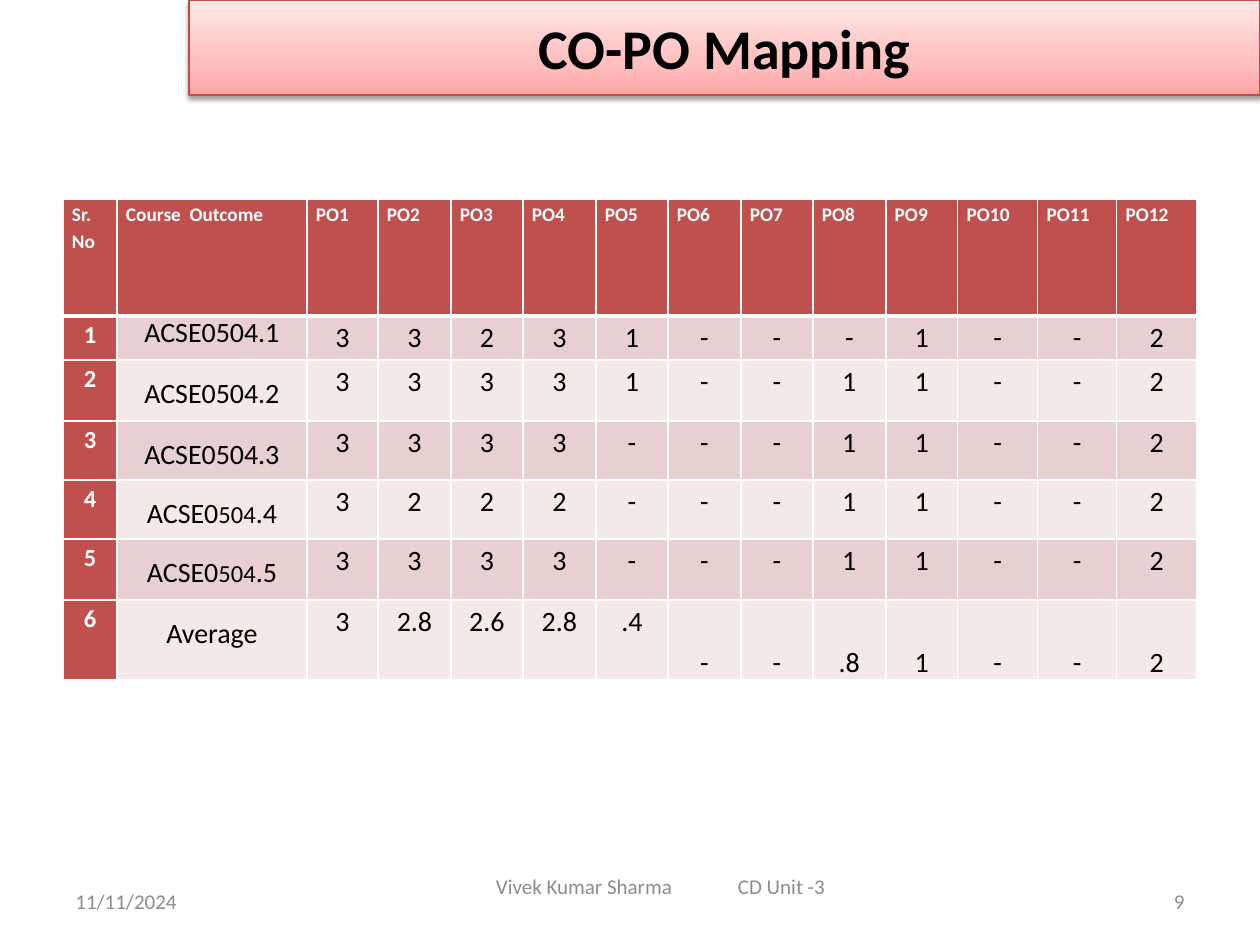
import itertools

import pptx
import pptx.dml.color
import pptx.enum.shapes
import pptx.enum.text
import pptx.oxml
import pptx.oxml.ns
import pptx.util

EMU_PER_PX = 914400 / 126
COLORS = {
    "ink": "000000", "white": "FFFFFF", "footer": "8C8C8C", "accent": "C0504D",
    "title_line": "BF4C48", "band_dark": "E8D0D0", "band_light": "F4E9E9",
}
TITLE_STOPS = [(0, "FFA6A5"), (35, "FFC0BF"), (100, "FFE7E7")]
ALIGN = pptx.enum.text.PP_ALIGN
ANCHOR = pptx.enum.text.MSO_ANCHOR

COLUMN_WIDTHS = [54, 190, 71] + [73, 72] * 4 + [80, 79, 80]
ROW_HEIGHTS = [117, 44, 61, 59, 59, 61, 80]
HEADERS = ["Sr. No", "Course  Outcome"] + [f"PO{number}" for number in range(1, 13)]
# Outcome as (text, size) runs, its line spacing, and the values for PO1 to PO12
OUTCOMES = [
    ([("ACSE0504.1", 16)], 1.0, "3 3 2 3 1 - - - 1 - - 2"),
    ([("ACSE0504.2", 16)], 1.5, "3 3 3 3 1 - - 1 1 - - 2"),
    ([("ACSE0504.3", 16)], 1.5, "3 3 3 3 - - - 1 1 - - 2"),
    ([("ACSE0", 16), ("504", 14), (".4", 16)], 1.5, "3 2 2 2 - - - 1 1 - - 2"),
    ([("ACSE0", 16), ("504", 14), (".5", 16)], 1.5, "3 3 3 3 - - - 1 1 - - 2"),
    ([("Average", 16)], 1.5, "3 2.8 2.6 2.8 .4 - - .8 1 - - 2"),
]


def px(length):
    return pptx.util.Emu(round(length * EMU_PER_PX))


def rgb(name):
    return pptx.dml.color.RGBColor.from_string(COLORS[name])


def element(xml):
    """Parse XML whose root tag holds the placeholder NS."""
    return pptx.oxml.parse_xml(xml.replace("NS", pptx.oxml.ns.nsdecls("a"), 1))


class SlideBuilder:
    font = "Calibri"
    cell_inset = 9

    def __init__(self, slide):
        self.slide = slide

    def add_runs(self, paragraph, runs, color, bold=False, align=ALIGN.LEFT, spacing=None):
        paragraph.alignment = align
        if spacing:
            paragraph.line_spacing = spacing
        for text, size in runs:
            run = paragraph.add_run()
            run.text = text
            run.font.name = self.font
            run.font.size = pptx.util.Pt(size)
            run.font.bold = bold
            run.font.color.rgb = rgb(color)

    def footer(self, left, top, width, text, align=ALIGN.LEFT, inset=None, tab=None):
        box = self.slide.shapes.add_textbox(px(left), px(top), px(width), px(50))
        frame = box.text_frame
        frame.word_wrap = True
        frame.vertical_anchor = ANCHOR.MIDDLE
        if inset:
            frame.margin_left = px(inset)
        paragraph = frame.paragraphs[0]
        if tab:
            paragraph._p.get_or_add_pPr().append(element(
                f'<a:tabLst NS><a:tab pos="{px(tab)}" algn="l"/></a:tabLst>'))
        self.add_runs(paragraph, [(text, 12)], "footer", align=align)

    def title(self, left, top, width, height, text):
        banner = self.slide.shapes.add_shape(
            pptx.enum.shapes.MSO_SHAPE.RECTANGLE, px(left), px(top), px(width), px(height))
        stops = "".join(
            f'<a:gs pos="{position * 1000}"><a:srgbClr val="{color}"/></a:gs>'
            for position, color in TITLE_STOPS)
        properties = banner._element.spPr
        properties.insert(2, element(
            f'<a:gradFill NS rotWithShape="1"><a:gsLst>{stops}</a:gsLst>'
            '<a:lin ang="16200000" scaled="0"/></a:gradFill>'))
        banner.line.color.rgb = rgb("title_line")
        banner.line.width = pptx.util.Pt(0.75)
        banner.shadow.inherit = False
        properties.find(pptx.oxml.ns.qn("a:effectLst")).append(element(
            f'<a:outerShdw NS blurRad="{pptx.util.Pt(3.1)}" dist="{pptx.util.Pt(1.6)}" '
            'dir="5400000" rotWithShape="0"><a:srgbClr val="000000">'
            '<a:alpha val="38000"/></a:srgbClr></a:outerShdw>'))
        frame = banner.text_frame
        frame.vertical_anchor = ANCHOR.MIDDLE
        self.add_runs(frame.paragraphs[0], [(text, 32)], "ink", True, ALIGN.CENTER)

    def table(self, left, top, widths, heights):
        table = self.slide.shapes.add_table(
            len(heights), len(widths), px(left), px(top),
            px(sum(widths)), px(sum(heights))).table
        table.first_row = table.horz_banding = False
        for column, width in zip(table.columns, widths):
            column.width = px(width)
        for row, height in zip(table.rows, heights):
            row.height = px(height)
        for row, column in itertools.product(range(len(heights)), range(len(widths))):
            self.borders(table.cell(row, column), row)
        return table

    def borders(self, cell, row):
        """Draw white rules, with a heavy one under the header row."""
        heavy_side = {0: "B", 1: "T"}.get(row)
        for side in "LRTB":
            width = pptx.util.Pt(3 if side == heavy_side else 1)
            cell._tc.get_or_add_tcPr().append(element(
                f'<a:ln{side} NS w="{width}"><a:solidFill>'
                f'<a:srgbClr val="{COLORS["white"]}"/></a:solidFill></a:ln{side}>'))

    def cell(self, cell, runs, fill, color="ink", bold=False, align=ALIGN.CENTER,
             spacing=1.15, anchor=ANCHOR.TOP):
        cell.fill.solid()
        cell.fill.fore_color.rgb = rgb(fill)
        cell.margin_left = cell.margin_right = px(self.cell_inset)
        cell.margin_top = cell.margin_bottom = 0
        cell.vertical_anchor = anchor
        self.add_runs(cell.text_frame.paragraphs[0], runs, color, bold, align, spacing)


def add_mapping(builder):
    table = builder.table(63, 199, COLUMN_WIDTHS, ROW_HEIGHTS)
    for column, header in enumerate(HEADERS):
        builder.cell(table.cell(0, column), [(header, 11)], "accent", "white", True, ALIGN.LEFT)
    for row, (outcome, spacing, values) in enumerate(OUTCOMES, 1):
        band = "band_dark" if row % 2 else "band_light"
        builder.cell(table.cell(row, 0), [(str(row), 14)], "accent", "white", True)
        builder.cell(table.cell(row, 1), outcome, band, spacing=spacing)
        for column, value in enumerate(values.split(), 2):
            at_bottom = row == len(OUTCOMES) and column >= HEADERS.index("PO6")
            builder.cell(table.cell(row, column), [(value, 16)], band,
                         anchor=ANCHOR.BOTTOM if at_bottom else ANCHOR.TOP)


def main():
    presentation = pptx.Presentation()
    presentation.slide_width = px(1260)
    presentation.slide_height = px(945)
    builder = SlideBuilder(presentation.slides.add_slide(presentation.slide_layouts[6]))
    builder.footer(63, 876, 294, "11/11/2024")
    builder.footer(903, 876, 294, "9", ALIGN.RIGHT)
    builder.title(189, 0, 1071, 95, "CO-PO Mapping")
    builder.footer(315, 861, 693, "Vivek Kumar Sharma\tCD Unit -3", inset=181, tab=242)
    add_mapping(builder)
    presentation.save("out.pptx")


if __name__ == "__main__":
    main()
